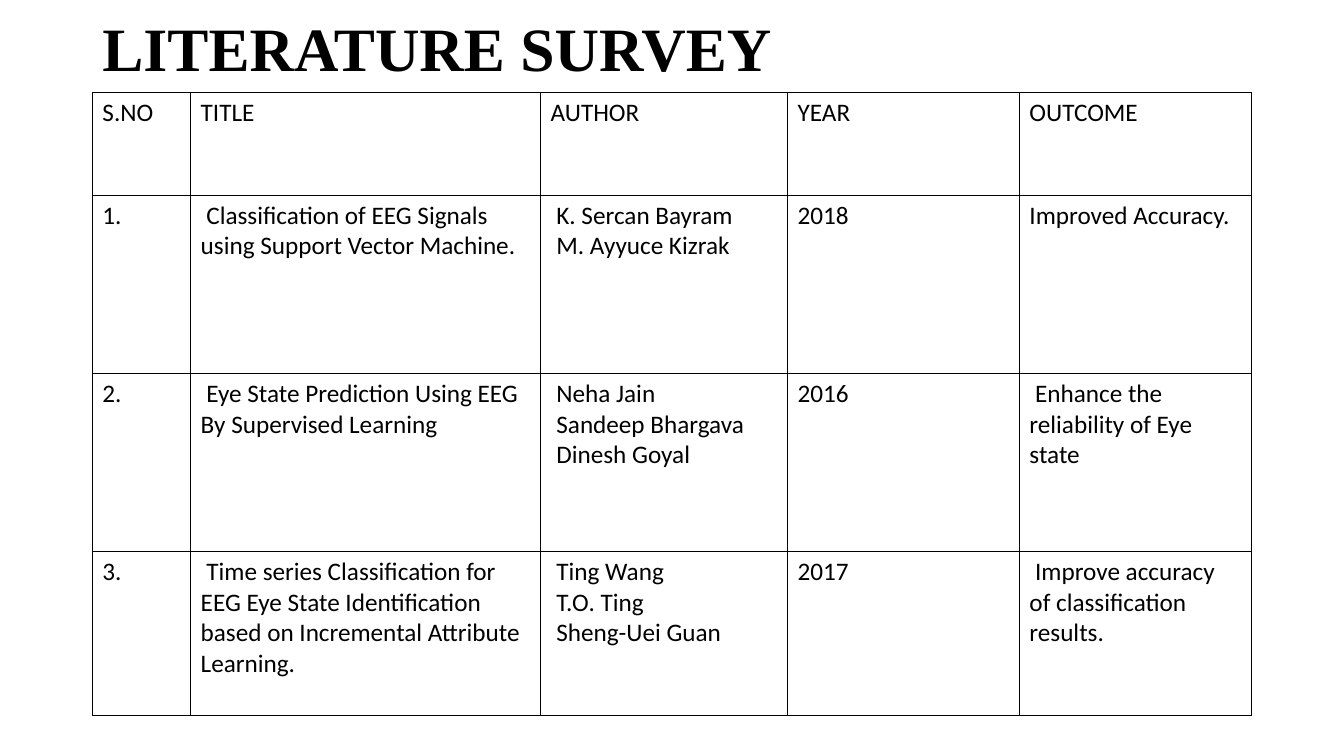
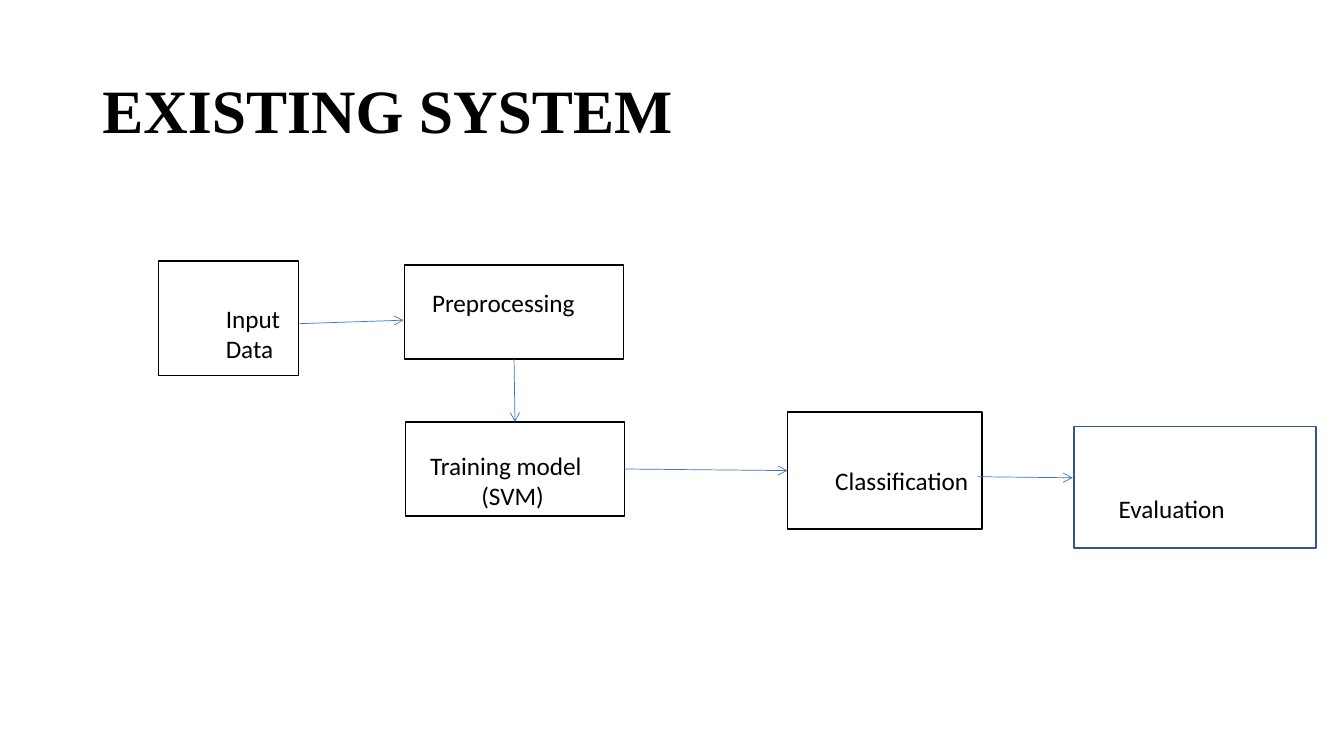
from lxml import etree
from pptx import Presentation
from pptx.dml.color import RGBColor
from pptx.enum.shapes import MSO_CONNECTOR, MSO_SHAPE
from pptx.enum.text import MSO_ANCHOR, MSO_AUTO_SIZE, PP_ALIGN
from pptx.oxml.ns import qn
from pptx.util import Pt

RECTANGLE = MSO_SHAPE.RECTANGLE
STRAIGHT = MSO_CONNECTOR.STRAIGHT
TOP, MIDDLE = MSO_ANCHOR.TOP, MSO_ANCHOR.MIDDLE
NO_AUTOFIT = MSO_AUTO_SIZE.NONE
LEFT = PP_ALIGN.LEFT
SITE_TOP, SITE_LEFT, SITE_BOTTOM, SITE_RIGHT = range(4)

BLACK = RGBColor(0x00, 0x00, 0x00)
WHITE = RGBColor(0xFF, 0xFF, 0xFF)
ARROW_BLUE = RGBColor(0x44, 0x72, 0xC4)
BORDER_BLUE = RGBColor(0x32, 0x54, 0x91)

TITLE_FONT, TITLE_SIZE = "Times New Roman", 44
BODY_FONT, BODY_SIZE = "Calibri", 18
TITLE_ONLY_LAYOUT = 5

SURVEY_COLUMNS = (70.2, 250, 176.4, 165.6, 165.6)
SURVEY_HEIGHTS = (73.2, 127.2, 127.2, 117.4)
SURVEY_ROWS = (
    ("S.NO", "TITLE", "AUTHOR", "YEAR", "OUTCOME"),
    ("1.", " Classification of EEG Signals using Support Vector Machine.",
     " K. Sercan Bayram\n M. Ayyuce Kizrak", "2018", "Improved Accuracy."),
    ("2.", " Eye State Prediction Using EEG By Supervised Learning",
     " Neha Jain\n Sandeep Bhargava\n Dinesh Goyal", "2016",
     " Enhance the reliability of Eye state"),
    ("3.", " Time series Classification for EEG Eye State Identification "
     "based on Incremental Attribute Learning.",
     " Ting Wang\n T.O. Ting\n Sheng-Uei Guan", "2017",
     " Improve accuracy of classification results."),
)

STAGES = {
    "input": ("Input Data", (0.2, -0.2, 100, 82), (48.1, 30.4), BLACK),
    "preprocessing": ("Preprocessing", (176.1, 2.9, 156.2, 67), (19.5, 15.8), BLACK),
    "training": ("Training model\n(SVM)", (176.8, 115, 156.2, 67), (17.4, 20), BLACK),
    "classification": ("Classification", (449.4, 107.9, 139, 83.5), (34.2, 38.2), BLACK),
    "evaluation": ("Evaluation", (654.3, 118, 172.8, 87), (31.7, 47.5), BORDER_BLUE),
}
SECOND_LINE_INDENT = 36.6
JOINED_ARROWS = (
    ("preprocessing", SITE_BOTTOM, "training", SITE_TOP),
    ("training", SITE_RIGHT, "classification", SITE_LEFT),
)
FREE_ARROWS = (
    (100.8, 44.7, 175.2, 42.2),
    (585.4, 154, 653.2, 154.8),
)


def style_text(text_frame, font_name, size, bold=False):
    """Format every run of a text frame as left-aligned black text."""
    for paragraph in text_frame.paragraphs:
        paragraph.alignment = LEFT
        for run in paragraph.runs:
            run.font.name = font_name
            run.font.size = Pt(size)
            run.font.bold = bold
            run.font.color.rgb = BLACK


def add_titled_slide(presentation, text, box):
    """Add a title-only slide with its title placed in the box."""
    slide = presentation.slides.add_slide(presentation.slide_layouts[TITLE_ONLY_LAYOUT])
    title = slide.shapes.title
    title.left, title.top, title.width, title.height = map(Pt, box)
    text_frame = title.text_frame
    text_frame.text = text
    text_frame.vertical_anchor = MIDDLE
    text_frame.auto_size = NO_AUTOFIT
    text_frame.paragraphs[0].line_spacing = 0.9
    style_text(text_frame, TITLE_FONT, TITLE_SIZE, bold=True)
    return slide


def add_cell_borders(cell):
    """Draw a thin black line on all four sides of a cell."""
    properties = cell._tc.get_or_add_tcPr()
    for side in ("a:lnL", "a:lnR", "a:lnT", "a:lnB"):
        line = etree.SubElement(properties, qn(side), w=str(Pt(1)))
        fill = etree.SubElement(line, qn("a:solidFill"))
        etree.SubElement(fill, qn("a:srgbClr"), val=str(BLACK))


def add_survey_table(slide, left, top):
    """Place the literature table with its corner at the given point."""
    frame = slide.shapes.add_table(
        len(SURVEY_ROWS), len(SURVEY_COLUMNS), Pt(left), Pt(top),
        Pt(sum(SURVEY_COLUMNS)), Pt(sum(SURVEY_HEIGHTS)))
    table = frame.table
    table.first_row = False
    table.horz_banding = False
    for column, width in zip(table.columns, SURVEY_COLUMNS):
        column.width = Pt(width)
    for row, height, texts in zip(table.rows, SURVEY_HEIGHTS, SURVEY_ROWS):
        row.height = Pt(height)
        for cell, text in zip(row.cells, texts):
            cell.text_frame.text = text
            style_text(cell.text_frame, BODY_FONT, BODY_SIZE)
            add_cell_borders(cell)
            cell.fill.background()


def add_stage(slide, text, box, inset, border):
    """Add one outlined stage whose label starts at the inset."""
    shape = slide.shapes.add_shape(RECTANGLE, *map(Pt, box))
    shape.shadow.inherit = False
    shape.fill.solid()
    shape.fill.fore_color.rgb = WHITE
    shape.line.color.rgb = border
    shape.line.width = Pt(1)
    text_frame = shape.text_frame
    text_frame.word_wrap = True
    text_frame.vertical_anchor = TOP
    text_frame.margin_left, text_frame.margin_top = map(Pt, inset)
    text_frame.margin_right = text_frame.margin_bottom = 0
    text_frame.text = text
    style_text(text_frame, BODY_FONT, BODY_SIZE)
    for paragraph in text_frame.paragraphs[1:]:
        paragraph._p.get_or_add_pPr().set("marL", str(Pt(SECOND_LINE_INDENT)))
    return shape


def add_arrow(slide, points):
    """Add a thin blue arrow from the first point to the second."""
    arrow = slide.shapes.add_connector(STRAIGHT, *map(Pt, points))
    arrow.line.color.rgb = ARROW_BLUE
    arrow.line.width = Pt(0.5)
    etree.SubElement(arrow.line._get_or_add_ln(), qn("a:tailEnd"), type="arrow")
    etree.SubElement(arrow._element.spPr, qn("a:effectLst"))
    return arrow


def add_flow_diagram(slide, left, top):
    """Place the stages and arrows relative to the given corner."""
    shapes = {}
    for name, (text, (x, y, width, height), inset, border) in STAGES.items():
        box = (left + x, top + y, width, height)
        shapes[name] = add_stage(slide, text, box, inset, border)
    for source, source_site, target, target_site in JOINED_ARROWS:
        arrow = add_arrow(slide, (left, top, left, top))
        arrow.begin_connect(shapes[source], source_site)
        arrow.end_connect(shapes[target], target_site)
    for x1, y1, x2, y2 in FREE_ARROWS:
        add_arrow(slide, (left + x1, top + y1, left + x2, top + y2))


def main():
    """Build both slides and save the presentation."""
    presentation = Presentation()
    presentation.slide_width, presentation.slide_height = Pt(960), Pt(540)
    survey = add_titled_slide(presentation, "LITERATURE SURVEY", (66, 0, 815, 73.4))
    add_survey_table(survey, 66, 66.2)
    system = add_titled_slide(presentation, "EXISTING SYSTEM", (66, 28.8, 828, 104.4))
    add_flow_diagram(system, 113, 186.5)
    presentation.save("out.pptx")


if __name__ == "__main__":
    main()
